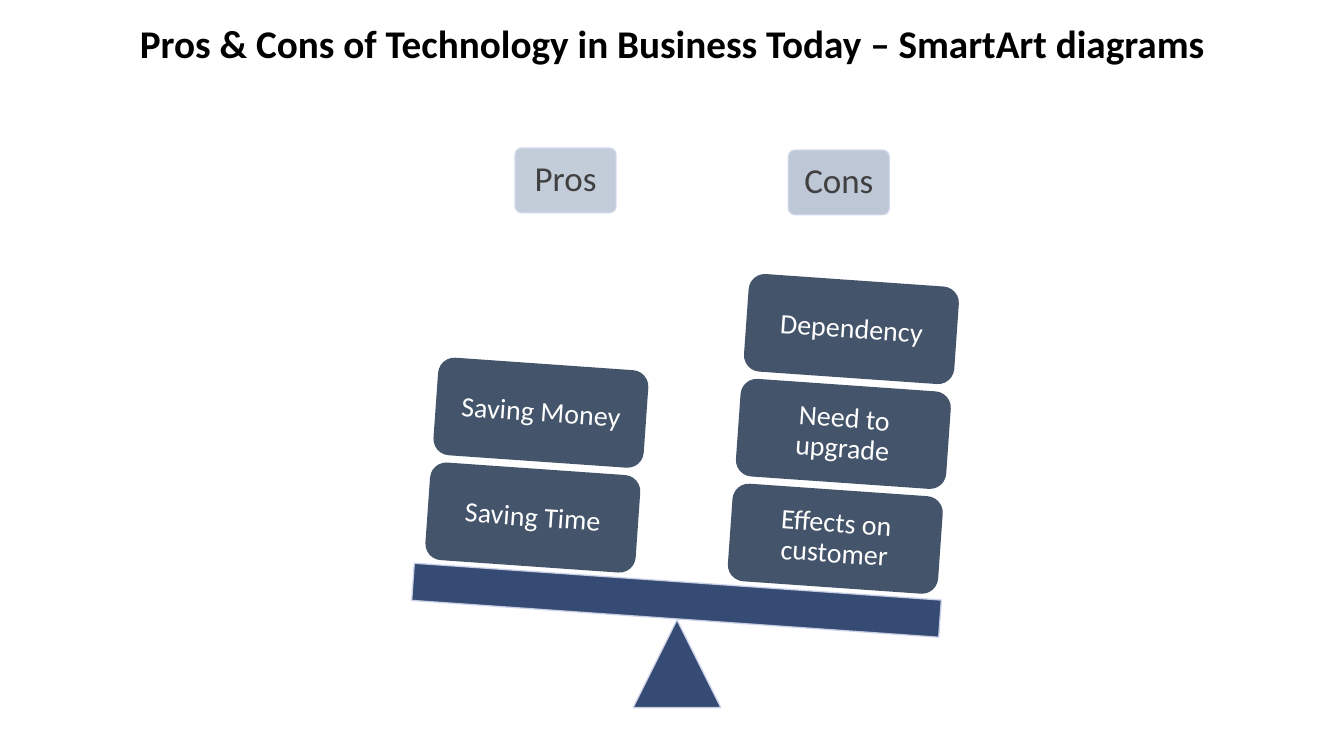
from lxml import etree
from pptx import Presentation
from pptx import util as u
from pptx.dml.color import RGBColor
from pptx.enum import shapes, text
from pptx.oxml.ns import qn

PX = 9144
SHAPE = shapes.MSO_SHAPE


def rgb(value):
    return RGBColor.from_string(value)


class Balance:
    font = "Calibri"
    line = "CFD5EA"
    beam = "203864"
    block = "44546A"
    label = "BDC7D5"
    label_text = "404040"
    tilt = 4

    def __init__(self, prs):
        self.s = prs.slides.add_slide(prs.slide_layouts[5])

    def place(self, sp, x, y, w, h):
        sp.left, sp.top, sp.width, sp.height = (u.Emu(v * PX) for v in (x, y, w, h))

    def add_text(self, sp, words, size, color, inset, anchor, bold=False):
        tf = sp.text_frame
        tf.word_wrap = True
        tf.auto_size = text.MSO_AUTO_SIZE.NONE
        tf.vertical_anchor = anchor
        tf.margin_left = tf.margin_right = u.Emu(inset * PX)
        tf.margin_top = tf.margin_bottom = u.Emu(inset * PX)
        p = tf.paragraphs[0]
        p.alignment = text.PP_ALIGN.CENTER
        p.line_spacing = 0.9
        r = p.add_run()
        r.text = words
        r.font.name = self.font
        r.font.size = u.Pt(size)
        r.font.bold = bold
        r.font.color.rgb = rgb(color)

    def fade(self, props, percent):
        color = props.find(qn("a:solidFill"))[0]
        etree.SubElement(color, qn("a:alpha"), val=str(percent * 1000))

    def title(self, words, x, y, w, h):
        sp = self.s.shapes.title
        self.place(sp, x, y, w, h)
        self.add_text(sp, words, 28, "000000", 5, text.MSO_ANCHOR.TOP, True)

    def shape(self, kind, x, y, w, h, fill, outline=True, opacity=100, rotation=0):
        sp = self.s.shapes.add_shape(kind, 0, 0, 0, 0)
        self.place(sp, x, y, w, h)
        sp.shadow.inherit = False
        sp.rotation = rotation
        sp.fill.solid()
        sp.fill.fore_color.rgb = rgb(fill)
        props = sp.element.spPr
        if opacity < 100:
            self.fade(props, opacity)
        if outline:
            sp.line.color.rgb = rgb(self.line)
            sp.line.width = u.Pt(1)
            self.fade(props.find(qn("a:ln")), 90)
        else:
            sp.line.fill.background()
        return sp

    def heading(self, words, x, y, opacity):
        sp = self.shape(SHAPE.ROUNDED_RECTANGLE, x, y, 100, 64, self.label, opacity=opacity)
        sp.adjustments[0] = 0.1
        self.add_text(sp, words, 25, self.label_text, 10, text.MSO_ANCHOR.MIDDLE)

    def stack(self, items, x, y):
        for i, words in enumerate(items):
            sp = self.shape(SHAPE.ROUNDED_RECTANGLE, x + 8 * i, y - 104 * i, 209, 97,
                            self.block, outline=False, rotation=self.tilt)
            self.add_text(sp, words, 20, "FFFFFF", 8, text.MSO_ANCHOR.MIDDLE)

    def scale(self):
        self.shape(SHAPE.ISOSCELES_TRIANGLE, 628, 615, 87, 87, self.beam, opacity=90)
        self.shape(SHAPE.RECTANGLE, 409, 577, 524, 37, self.beam, opacity=90,
                   rotation=self.tilt)


def main():
    prs = Presentation()
    prs.slide_width, prs.slide_height = u.Emu(1333 * PX), u.Emu(750 * PX)
    b = Balance(prs)
    b.title("Pros & Cons of Technology in Business Today – SmartArt diagrams", 0, 19, 1333, 97)
    b.heading("Pros", 511, 147, 90)
    b.heading("Cons", 782, 149, 100)
    b.scale()
    b.stack(["Effects on customer", "Need to upgrade", "Dependency"], 724, 486)
    b.stack(["Saving Time", "Saving Money"], 424, 465)
    prs.save("out.pptx")


if __name__ == "__main__":
    main()
